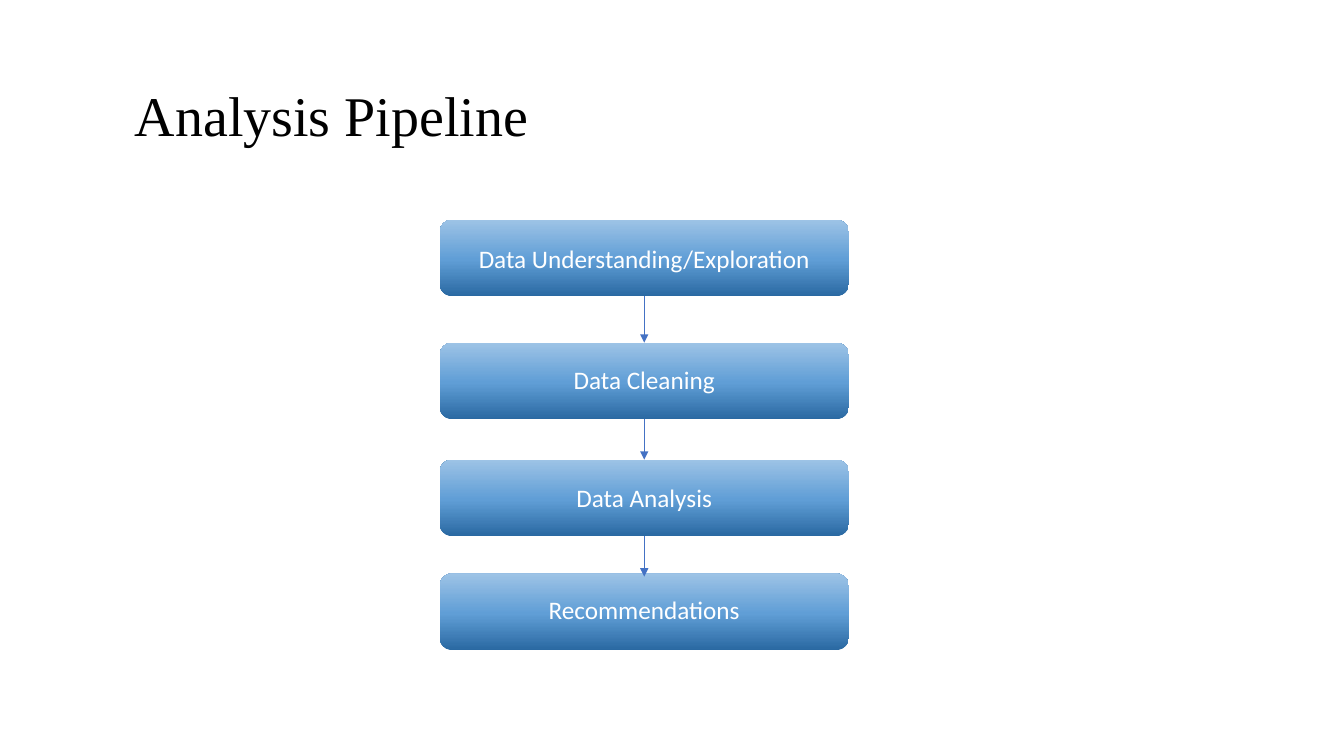
"""Builds the Analysis Pipeline slide: four stages joined by arrows."""
import pptx
import pptx.dml.color
import pptx.enum.shapes
import pptx.enum.text
import pptx.oxml
import pptx.oxml.ns
import pptx.util
from pptx.util import Inches

TITLE = "Analysis Pipeline"
STAGES = [
    {"text": "Data Understanding/Exploration", "top": 2.18, "spacing": 1.0},
    {"text": "Data Cleaning", "top": 3.4, "spacing": 0.9},
    {"text": "Data Analysis", "top": 4.56, "spacing": 1.0},
    {"text": "Recommendations", "top": 5.69, "spacing": 0.9},
]
ARROW_ENDS = [3.4, 4.56, 5.72]
STAGE_LEFT, STAGE_WIDTH, STAGE_HEIGHT = 4.36, 4.06, 0.76

THEME = {
    "title": {"font": "Times New Roman", "size": 40, "color": "000000"},
    "stage": {"font": "Calibri", "size": 18, "color": "FFFFFF"},
    "gradient": [(0, "2A69A2"), (48, "609ED6"), (100, "9DC3E6")],
    "arrow": {"color": "4472C4", "width": 0.5},
}


def rgb(value):
    """Turn a hex string into a colour."""
    return pptx.dml.color.RGBColor.from_string(value)


def write(shape, text, style, spacing):
    """Put one styled, vertically centred paragraph in a shape."""
    frame = shape.text_frame
    frame.word_wrap = True
    frame.vertical_anchor = pptx.enum.text.MSO_ANCHOR.MIDDLE
    paragraph = frame.paragraphs[0]
    paragraph.text = text
    paragraph.line_spacing = spacing
    paragraph.font.name = style["font"]
    paragraph.font.size = pptx.util.Pt(style["size"])
    paragraph.font.color.rgb = rgb(style["color"])
    return paragraph


def fill_gradient(shape):
    """Fill a shape with the theme gradient, running from bottom to top."""
    shape.fill.gradient()
    shape.fill.gradient_angle = 90
    stops = shape._element.spPr.find(".//" + pptx.oxml.ns.qn("a:gsLst"))
    stops.clear()
    for percent, color in THEME["gradient"]:
        stops.append(pptx.oxml.parse_xml(
            f'<a:gs {pptx.oxml.ns.nsdecls("a")} pos="{percent * 1000}">'
            f'<a:srgbClr val="{color}"/></a:gs>'))


def add_stage(page, stage):
    """Add one rounded stage box."""
    box = page.shapes.add_shape(
        pptx.enum.shapes.MSO_SHAPE.ROUNDED_RECTANGLE,
        Inches(STAGE_LEFT), Inches(stage["top"]),
        Inches(STAGE_WIDTH), Inches(STAGE_HEIGHT))
    box.shadow.inherit = False
    box.line.fill.background()
    fill_gradient(box)
    paragraph = write(box, stage["text"], THEME["stage"], stage["spacing"])
    paragraph.alignment = pptx.enum.text.PP_ALIGN.CENTER


def add_arrow(page, start, end):
    """Add a downward arrow on the centre line of the stages."""
    center = Inches(STAGE_LEFT + STAGE_WIDTH / 2)
    arrow = page.shapes.add_connector(
        pptx.enum.shapes.MSO_CONNECTOR.STRAIGHT,
        center, Inches(start), center, Inches(end))
    arrow.line.color.rgb = rgb(THEME["arrow"]["color"])
    arrow.line.width = pptx.util.Pt(THEME["arrow"]["width"])
    namespace = pptx.oxml.ns.nsdecls("a")
    arrow.line._get_or_add_ln().append(
        pptx.oxml.parse_xml(f'<a:tailEnd {namespace} type="triangle"/>'))
    arrow._element.spPr.append(
        pptx.oxml.parse_xml(f"<a:effectLst {namespace}/>"))


def main():
    """Build and save the deck."""
    deck = pptx.Presentation()
    deck.slide_width, deck.slide_height = Inches(13.33), Inches(7.5)
    page = deck.slides.add_slide(deck.slide_layouts[6])
    title = page.shapes.add_textbox(
        Inches(1.24), Inches(0.7), Inches(10.19), Inches(0.94))
    write(title, TITLE, THEME["title"], 0.9)
    for stage in STAGES:
        add_stage(page, stage)
    for stage, end in zip(STAGES, ARROW_ENDS):
        add_arrow(page, stage["top"] + STAGE_HEIGHT, end)
    deck.save("out.pptx")


if __name__ == "__main__":
    main()
